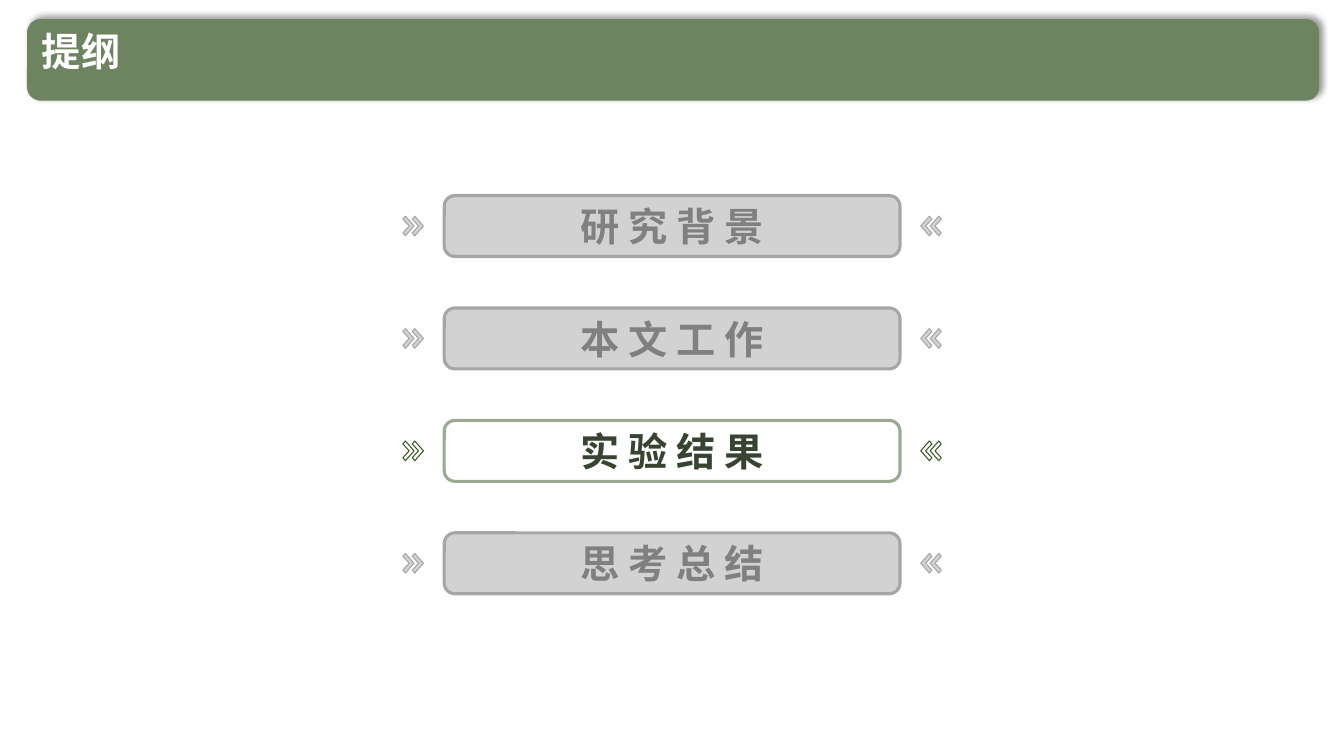
from dataclasses import dataclass

from lxml.etree import SubElement
from pptx import Presentation
from pptx.dml.color import RGBColor
from pptx.enum.shapes import MSO_SHAPE
from pptx.enum.text import MSO_ANCHOR, PP_ALIGN
from pptx.oxml.ns import qn
from pptx.util import Pt


@dataclass(frozen=True)
class Theme:
    font: str = "Noto Sans CJK SC"
    size: float = 28
    button_line: float = 2.25
    chevron_line: float = 0.75
    header: str = "6E8360"
    title: str = "FFFFFF"
    shadow: str = "000000"
    muted: str = "A6A6A6"
    muted_text: str = "808080"
    active: str = "9BAA90"
    active_text: str = "384331"
    active_chevron: str = "385723"


THEME = Theme()
TOPICS = ["研 究 背 景", "本 文 工 作", "实 验 结 果", "思 考 总 结"]
CURRENT = 2
CHEVRON = [(1.8, 0), (0, 2.1), (4.5, 7.05), (0, 12), (1.8, 14.1), (8, 7.05)]
CHEVRON_H = 14.1
CHEVRON_STEP = 6.7


def style_text(tf, text, color, align):
    tf.text = text
    tf.word_wrap = True
    p = tf.paragraphs[0]
    p.alignment = align
    r = p.runs[0]
    r.font.size = Pt(THEME.size)
    r.font.bold = True
    r.font.name = THEME.font
    r.font.color.rgb = RGBColor.from_string(color)
    SubElement(r.font._element, qn("a:ea"), typeface=THEME.font)


def style_outline(sp, color, width, filled):
    sp.shadow.inherit = False
    sp.line.color.rgb = RGBColor.from_string(color)
    sp.line.width = Pt(width)
    if not filled:
        sp.fill.background()
        return
    sp.fill.solid()
    sp.fill.fore_color.rgb = RGBColor.from_string(color)
    clr = sp.fill._xPr.find(qn("a:solidFill"))[0]
    SubElement(clr, qn("a:alpha"), val="50000")


def add_shadow(sp):
    sp.shadow.inherit = False
    effects = sp._element.spPr.find(qn("a:effectLst"))
    shadow = SubElement(effects, qn("a:outerShdw"), blurRad=str(Pt(4)),
                        dist=str(Pt(3)), dir=str(315 * 60000),
                        algn="bl", rotWithShape="0")
    clr = SubElement(shadow, qn("a:srgbClr"), val=THEME.shadow)
    SubElement(clr, qn("a:alpha"), val="40000")


def add_header(s, x, y, w, h, title):
    sp = s.shapes.add_shape(MSO_SHAPE.ROUNDED_RECTANGLE, Pt(x), Pt(y), Pt(w), Pt(h))
    sp.fill.solid()
    sp.fill.fore_color.rgb = RGBColor.from_string(THEME.header)
    sp.line.fill.background()
    add_shadow(sp)
    box = s.shapes.add_textbox(Pt(x + 3.6), Pt(y + 6.5), Pt(797), Pt(44.6))
    style_text(box.text_frame, title, THEME.title, PP_ALIGN.LEFT)
    box.text_frame.paragraphs[0].line_spacing = 0.9


def add_chevron(shapes, x, y, direction, color, filled):
    points = [(Pt(x + direction * dx), Pt(y + dy)) for dx, dy in CHEVRON]
    builder = shapes.build_freeform(*points[0], scale=1.0)
    builder.add_line_segments(points[1:], close=True)
    style_outline(builder.convert_to_shape(), color, THEME.chevron_line, filled)


def add_topic(s, x, y, w, h, text, current):
    shapes = s.shapes.add_group_shape().shapes
    line = THEME.active if current else THEME.muted
    mark = THEME.active_chevron if current else THEME.muted
    ink = THEME.active_text if current else THEME.muted_text
    for edge, direction in ((x, 1), (x + w, -1)):
        for i in range(2):
            add_chevron(shapes, edge + direction * i * CHEVRON_STEP,
                        y + (h - CHEVRON_H) / 2, direction, mark, not current)
    inset = 29.5
    sp = shapes.add_shape(MSO_SHAPE.ROUNDED_RECTANGLE,
                          Pt(x + inset), Pt(y), Pt(w - 2 * inset), Pt(h))
    sp.adjustments[0] = 0.177
    style_outline(sp, line, THEME.button_line, not current)
    tf = sp.text_frame
    style_text(tf, text, ink, PP_ALIGN.CENTER)
    tf.vertical_anchor = MSO_ANCHOR.MIDDLE


def add_outline(s, x, y, w, h):
    button_h = 43.5
    pitch = (h - button_h) / (len(TOPICS) - 1)
    for i, text in enumerate(TOPICS):
        add_topic(s, x, y + i * pitch, w, button_h, text, i == CURRENT)


def main():
    prs = Presentation()
    prs.slide_width, prs.slide_height = Pt(960), Pt(540)
    s = prs.slides.add_slide(prs.slide_layouts[6])
    add_header(s, 19.3, 13.6, 923, 58.3, "提纲")
    add_outline(s, 287.8, 139.7, 384.6, 284.4)
    prs.save("out.pptx")


if __name__ == "__main__":
    main()
